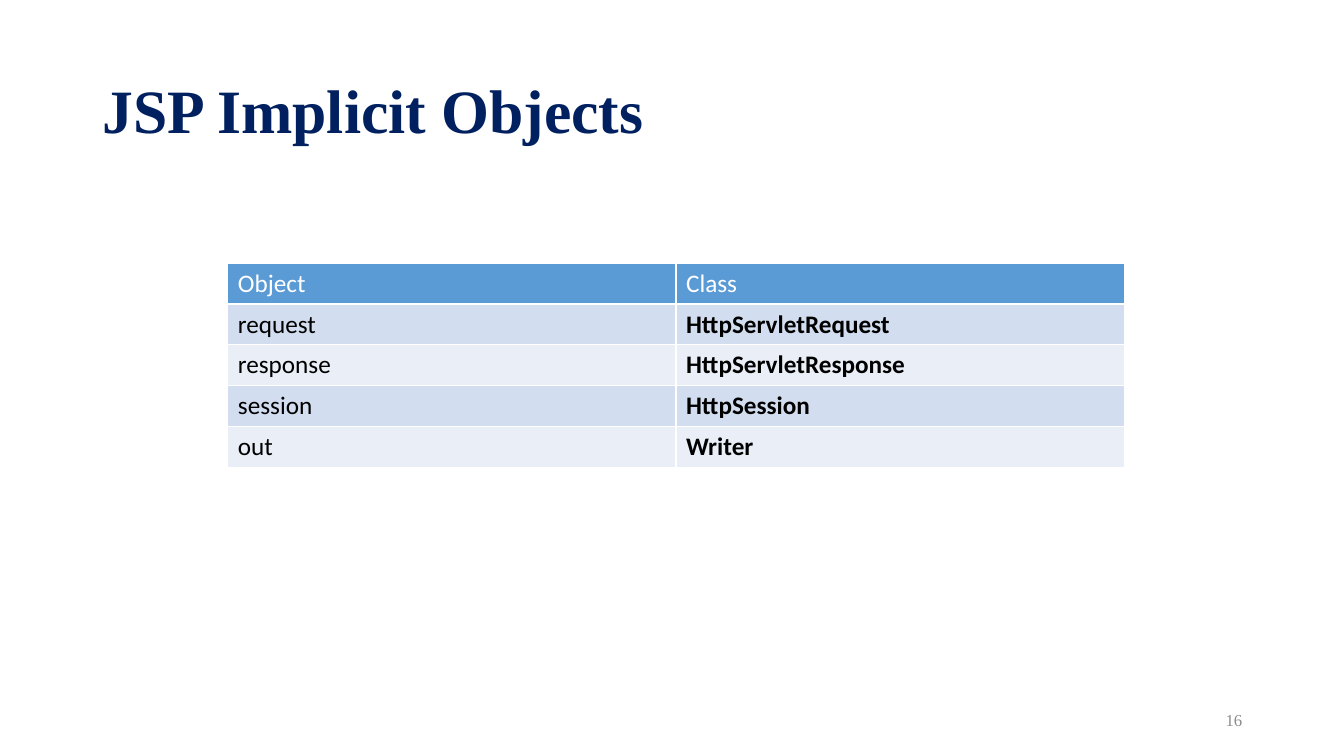
from dataclasses import dataclass

from lxml import etree
from pptx import Presentation
from pptx.dml.color import RGBColor
from pptx.enum.text import MSO_ANCHOR, PP_ALIGN
from pptx.oxml.ns import qn
from pptx.util import Inches, Pt

MIDDLE = MSO_ANCHOR.MIDDLE
LEFT, RIGHT = PP_ALIGN.LEFT, PP_ALIGN.RIGHT


@dataclass(frozen=True)
class Theme:
    heading_font: str = "Times New Roman"
    body_font: str = "Calibri"
    title_size: int = 44
    table_size: int = 18
    number_size: int = 12
    title: str = "002060"
    number: str = "8C8C8C"
    header_text: str = "FFFFFF"
    body_text: str = "000000"
    header_fill: str = "5B9BD5"
    band_fills: tuple = ("EAEFF7", "D2DEEF")
    border: str = "FFFFFF"
    border_width: int = 1


THEME = Theme()


def style_text(para, font, size, color, bold=False):
    for span in para.runs:
        span.font.name = font
        span.font.size = Pt(size)
        span.font.color.rgb = RGBColor.from_string(color)
        span.font.bold = bold


def add_borders(cell):
    properties = cell._tc.get_or_add_tcPr()
    for side in ("a:lnL", "a:lnR", "a:lnT", "a:lnB"):
        line = etree.SubElement(properties, qn(side), w=str(Pt(THEME.border_width)))
        fill = etree.SubElement(line, qn("a:solidFill"))
        etree.SubElement(fill, qn("a:srgbClr"), val=THEME.border)


deck = Presentation()
deck.slide_width = Inches(13.33)
deck.slide_height = Inches(7.5)
page = deck.slides.add_slide(deck.slide_layouts[6])

# Title and page number
labels = [
    ("JSP Implicit Objects", (0.92, 0.4, 11.5, 1.45), LEFT, THEME.title_size, THEME.title, True),
    ("16", (9.42, 6.95, 3, 0.4), RIGHT, THEME.number_size, THEME.number, False),
]
for text, place, align, size, color, bold in labels:
    box = page.shapes.add_textbox(*map(Inches, place))
    frame = box.text_frame
    frame.word_wrap = True
    frame.vertical_anchor = MIDDLE
    frame.text = text
    para = frame.paragraphs[0]
    para.alignment = align
    para.line_spacing = 0.9
    style_text(para, THEME.heading_font, size, color, bold)

# Implicit objects and their classes
implicit_objects = [
    ("Object", "Class"),
    ("request", "HttpServletRequest"),
    ("response", "HttpServletResponse"),
    ("session", "HttpSession"),
    ("out", "Writer"),
]
table = page.shapes.add_table(
    len(implicit_objects), 2, Inches(2.26), Inches(2.61), Inches(8.89), Inches(2.03)
).table
for row_index, names in enumerate(implicit_objects):
    is_header = row_index == 0
    fill_color = THEME.header_fill if is_header else THEME.band_fills[row_index % 2]
    text_color = THEME.header_text if is_header else THEME.body_text
    for column_index, name in enumerate(names):
        cell = table.cell(row_index, column_index)
        cell.text = name
        is_class = column_index == 1 and not is_header
        style_text(cell.text_frame.paragraphs[0], THEME.body_font, THEME.table_size, text_color, is_class)
        add_borders(cell)
        cell.fill.solid()
        cell.fill.fore_color.rgb = RGBColor.from_string(fill_color)

deck.save("out.pptx")
